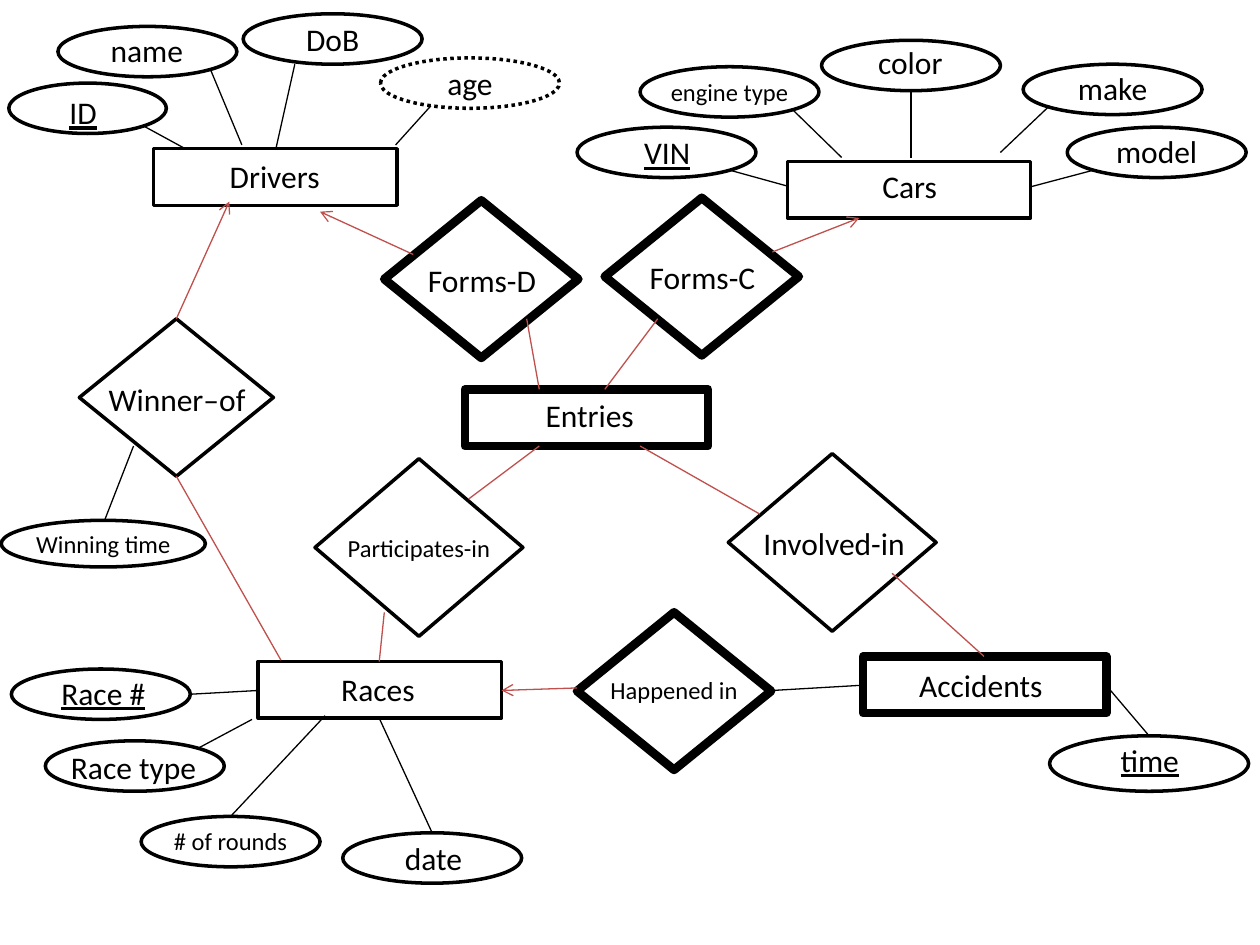
from dataclasses import dataclass

from pptx import Presentation
from pptx.dml.color import RGBColor
from pptx.enum.dml import MSO_LINE as Dash
from pptx.enum.shapes import MSO_CONNECTOR as Link, MSO_SHAPE as Form
from pptx.enum.text import MSO_AUTO_SIZE as Fit, PP_ALIGN as Align
from pptx.oxml.ns import qn
from pptx.shapes.autoshape import Shape
from pptx.util import Cm, Pt
from lxml.etree import SubElement

BLACK = RGBColor(0x00, 0x00, 0x00)
WHITE = RGBColor(0xFF, 0xFF, 0xFF)
RED = RGBColor(0xC0, 0x50, 0x4D)
FONT = "Calibri"
THIN, BOLD = 2, 5
BODY, SMALL = 18, 14

RECT, OVAL, RHOMB = Form.RECTANGLE, Form.OVAL, Form.DIAMOND
SIZES = {RECT: (1.93, 0.45), OVAL: (1.42, 0.4), RHOMB: (1.54, 1.25)}
WIDE = (1.65, 1.41)


@dataclass
class Node:
    """A labelled part of the diagram; the label has its own box."""
    name: str
    form: Form
    x: float
    y: float
    left: float
    top: float
    span: float
    size: tuple[float, float] | None = None
    line: float = THIN
    key: bool = False
    dots: bool = False
    pts: float = BODY


@dataclass
class Edge:
    """A straight line between two points."""
    start: tuple[float, float]
    end: tuple[float, float]
    color: RGBColor = BLACK
    arrow: bool = False


# Long labels are set small, so that they stay inside their outlines.
NODES = [
    Node("Cars", RECT, 6.25, 1.28, 6.68, 1.28, 1.08),
    Node("VIN", OVAL, 4.58, 1.01, 4.96, 1.01, 0.67, key=True),
    Node("engine type", OVAL, 5.08, 0.53, 5.08, 0.56, 1.42, pts=SMALL),
    Node("color", OVAL, 6.52, 0.32, 6.79, 0.29, 0.87),
    Node("make", OVAL, 8.12, 0.51, 8.42, 0.5, 0.82),
    Node("model", OVAL, 8.47, 1.01, 8.72, 1.0, 0.92),
    Node("Drivers", RECT, 1.22, 1.18, 1.64, 1.2, 1.08),
    Node("ID", OVAL, 0.07, 0.66, -0.08, 0.69, 1.48, (1.25, 0.4), key=True),
    Node("name", OVAL, 0.46, 0.21, 0.73, 0.2, 0.87),
    Node("DoB", OVAL, 1.93, 0.11, 2.23, 0.11, 0.82),
    Node("age", OVAL, 3.02, 0.46, 3.27, 0.46, 0.92, dots=True),
    Node("Races", RECT, 2.05, 5.25, 2.46, 5.27, 1.08),
    Node("Race #", OVAL, 0.09, 5.31, 0.31, 5.3, 1.02, key=True),
    Node("Race type", OVAL, 0.36, 5.88, 0.32, 5.89, 1.48),
    Node("# of rounds", OVAL, 1.12, 6.48, 1.12, 6.51, 1.42, pts=SMALL),
    Node("date", OVAL, 2.72, 6.61, 3.03, 6.61, 0.82),
    Node("Accidents", RECT, 6.85, 5.21, 7.08, 5.24, 1.41, line=BOLD),
    Node("time", OVAL, 8.33, 5.84, 8.39, 5.83, 1.47, (1.58, 0.44), key=True),
    Node("Winner–of", RHOMB, 0.63, 2.53, 0.63, 2.97, 1.55),
    Node("Winning time", OVAL, 0.01, 4.13, 0.01, 4.15, 1.62, (1.62, 0.37),
         pts=SMALL),
    Node("Forms-D", RHOMB, 3.05, 1.59, 3.05, 2.02, 1.55, line=BOLD),
    Node("Forms-C", RHOMB, 4.8, 1.57, 4.8, 2.0, 1.55, line=BOLD),
    Node("Happened in", RHOMB, 4.58, 4.86, 4.58, 5.31, 1.54, line=BOLD,
         pts=SMALL),
    Node("Entries", RECT, 3.69, 3.09, 4.14, 3.09, 1.08, line=BOLD),
    Node("Participates-in", RHOMB, 2.5, 3.64, 2.5, 4.18, 1.65, WIDE,
         pts=SMALL),
    Node("Involved-in", RHOMB, 5.78, 3.6, 5.78, 4.11, 1.68, WIDE),
]

EDGES = [
    # Cars
    Edge((5.79, 1.35), (6.26, 1.48)),
    Edge((6.29, 0.87), (6.68, 1.25)),
    Edge((7.23, 0.71), (7.23, 1.25)),
    Edge((8.33, 0.84), (7.94, 1.21)),
    Edge((8.68, 1.35), (8.19, 1.48)),
    # Drivers
    Edge((1.14, 1.0), (1.47, 1.18)),
    Edge((1.67, 0.55), (1.92, 1.15)),
    Edge((2.34, 0.51), (2.19, 1.18)),
    Edge((3.42, 0.84), (3.14, 1.15)),
    # Races
    Edge((1.51, 5.51), (2.05, 5.48)),
    Edge((1.57, 5.94), (2.0, 5.71)),
    Edge((1.83, 6.48), (2.58, 5.68)),
    Edge((3.43, 6.61), (3.01, 5.7)),
    # Accidents
    Edge((9.12, 5.84), (8.78, 5.44)),
    Edge((6.82, 5.44), (6.13, 5.48)),
    Edge((4.58, 5.46), (3.98, 5.48), RED, True),
    # Winner
    Edge((2.23, 5.24), (1.4, 3.78), RED),
    Edge((0.83, 4.13), (1.06, 3.54)),
    Edge((1.4, 2.53), (1.82, 1.6), RED, True),
    # Entries
    Edge((3.28, 2.02), (2.54, 1.68), RED, True),
    Edge((6.13, 2.0), (6.82, 1.73), RED, True),
    Edge((4.28, 3.09), (4.18, 2.53), RED),
    Edge((4.8, 3.09), (5.22, 2.53), RED),
    Edge((4.28, 3.54), (3.72, 3.96), RED),
    Edge((3.05, 4.86), (3.01, 5.25), RED),
    Edge((5.08, 3.54), (6.03, 4.08), RED),
    Edge((7.08, 4.55), (7.81, 5.21), RED),
]


def dist(*vals: float) -> list[Cm]:
    """Turn inches into lengths."""
    return [Cm(val * 2.54) for val in vals]


def put_text(box: Shape, text: str, *, size: float = BODY,
             color: RGBColor = BLACK, under: bool = False) -> None:
    """Write one centred line of text."""
    frame = box.text_frame
    frame.word_wrap = True
    frame.auto_size = Fit.SHAPE_TO_FIT_TEXT
    para = frame.paragraphs[0]
    para.alignment = Align.CENTER
    run = para.add_run()
    run.text = text
    font = run.font
    font.name, font.size = FONT, Pt(size)
    font.color.rgb = color
    if under:
        font.underline = True


def draw_node(node: Node) -> None:
    """Draw an outline and its label."""
    size = node.size or SIZES[node.form]
    shape = shapes.add_shape(node.form, *dist(node.x, node.y, *size))
    shape.shadow.inherit = False
    shape.fill.solid()
    shape.fill.fore_color.rgb = WHITE
    shape.line.color.rgb = BLACK
    shape.line.width = Pt(node.line)
    if node.dots:
        shape.line.dash_style = Dash.ROUND_DOT
    row = 0.1 + node.pts / 60
    box = shapes.add_textbox(*dist(node.left, node.top, node.span, row))
    put_text(box, node.name, size=node.pts, under=node.key)


def draw_edge(edge: Edge) -> None:
    """Draw a line, with an arrowhead at its end if asked."""
    line = shapes.add_connector(Link.STRAIGHT, *dist(*edge.start, *edge.end))
    line.line.color.rgb = edge.color
    line.line.width = Pt(0.75)
    props = line._element.spPr
    if edge.arrow:
        SubElement(props.find(qn("a:ln")), qn("a:tailEnd"), type="arrow")
    SubElement(props, qn("a:effectLst"))


deck = Presentation()
deck.slide_width, deck.slide_height = dist(10, 7.5)
shapes = deck.slides.add_slide(deck.slide_layouts[6]).shapes
for node in NODES:
    draw_node(node)
for edge in EDGES:
    draw_edge(edge)
deck.save("out.pptx")
